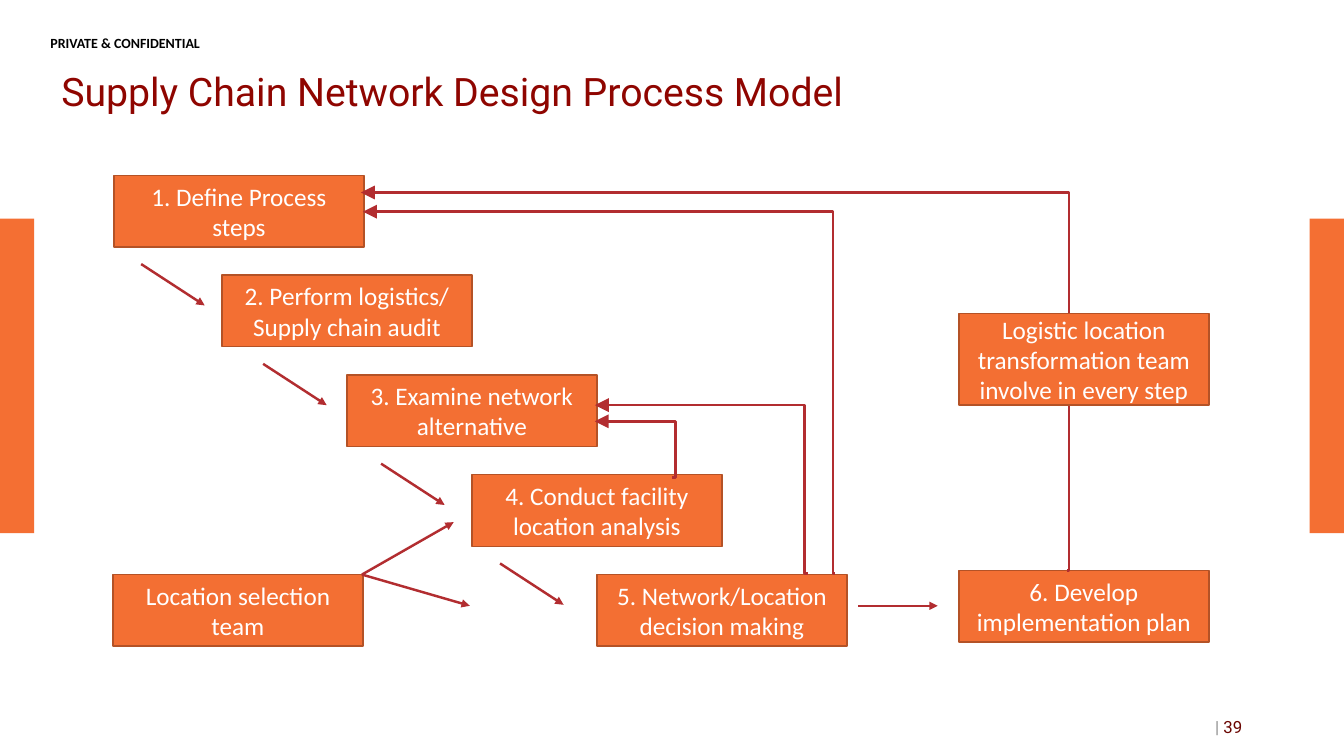
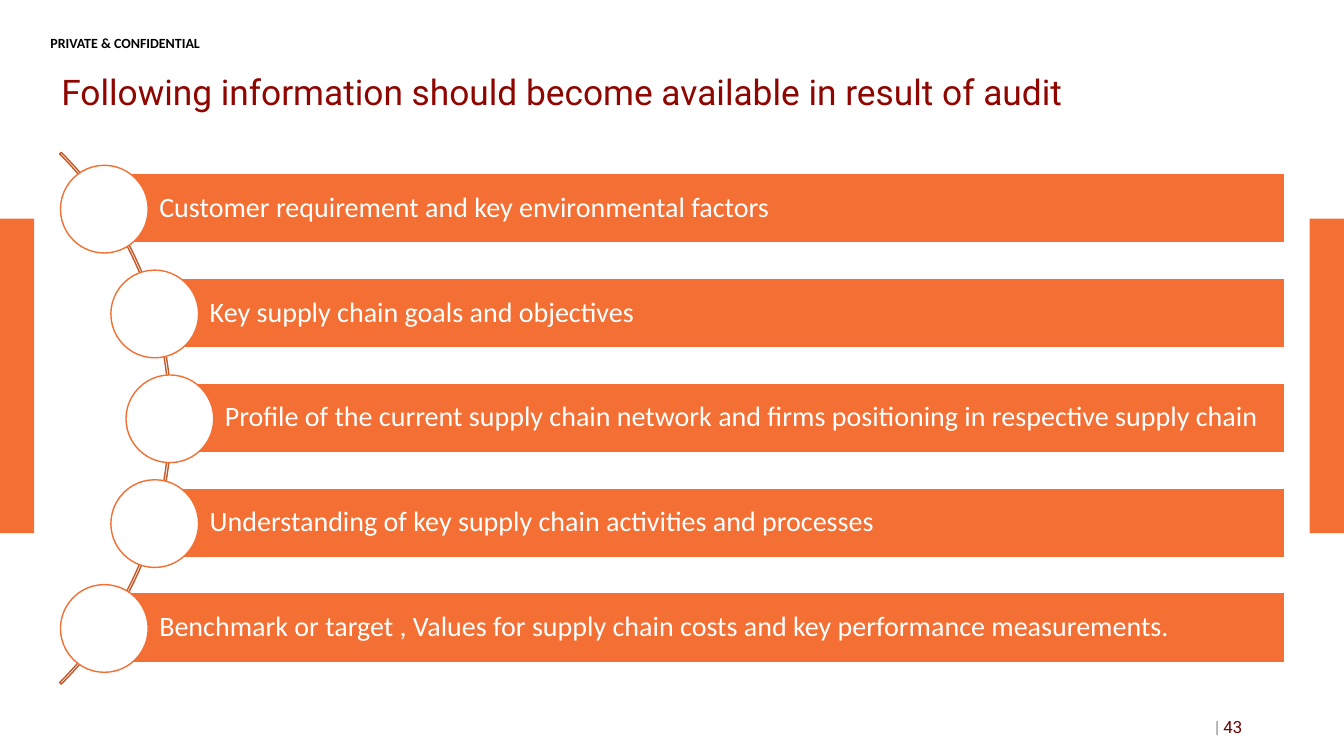
import lxml.etree
import pptx
import pptx.dml.color
import pptx.enum.shapes
import pptx.enum.text
import pptx.oxml.ns
import pptx.util

Inches = pptx.util.Inches
Pt = pptx.util.Pt
qn = pptx.oxml.ns.qn
SHAPE = pptx.enum.shapes.MSO_SHAPE
CONNECTOR = pptx.enum.shapes.MSO_CONNECTOR
ALIGN = pptx.enum.text.PP_ALIGN
ANCHOR = pptx.enum.text.MSO_ANCHOR

COLORS = {
    "band": "F46F33",
    "box": "F36F33",
    "box_edge": "B45226",
    "arc": "C35929",
    "arrow": "B22D30",
    "title": "8F0500",
    "number": "6A0500",
    "divider": "8C8C8C",
    "white": "FFFFFF",
    "black": "000000",
}
BODY_FONT = "Calibri"
HEAD_FONT = "Roboto"
INSETS = (0.1, 0.05, 0.1, 0.05)


def rgb(name):
    return pptx.dml.color.RGBColor.from_string(COLORS[name])


def write_text(box, text, size, color="white", font=BODY_FONT, bold=False, align=ALIGN.LEFT,
               anchor=ANCHOR.MIDDLE, insets=INSETS, line_spacing=None):
    """Fill a box with one paragraph; text is a string or a list of (string, color)."""
    frame = box.text_frame
    frame.word_wrap = True
    frame.vertical_anchor = anchor
    frame.margin_left, frame.margin_top, frame.margin_right, frame.margin_bottom = map(Inches, insets)
    para = frame.paragraphs[0]
    para.alignment = align
    if line_spacing:
        para.line_spacing = line_spacing
    for words, shade in [(text, color)] if isinstance(text, str) else text:
        span = para.add_run()
        span.text = words
        span.font.name = font
        span.font.size = Pt(size)
        span.font.bold = bold
        span.font.color.rgb = rgb(shade)


def add_label(page, left, top, width, height, text, size, **text_format):
    box = page.shapes.add_textbox(Inches(left), Inches(top), Inches(width), Inches(height))
    write_text(box, text, size, **text_format)


def add_figure(page, kind, left, top, width, height, fill=None, edge=None):
    figure = page.shapes.add_shape(kind, Inches(left), Inches(top), Inches(width), Inches(height))
    figure.shadow.inherit = False
    if fill:
        figure.fill.solid()
        figure.fill.fore_color.rgb = rgb(fill)
    else:
        figure.fill.background()
    if edge:
        figure.line.color.rgb = rgb(edge)
        figure.line.width = Pt(1)
    else:
        figure.line.fill.background()
    return figure


def add_process_box(page, left, top, text, height=0.71):
    box = add_figure(page, SHAPE.RECTANGLE, left, top, 2.48, height, "box", "box_edge")
    write_text(box, text, 18, align=ALIGN.CENTER)


def add_line(page, kind, start, end, arrow_end, arrow_size):
    """Add a connector with an arrowhead at "headEnd" (start) or "tailEnd" (end)."""
    line = page.shapes.add_connector(kind, *map(Inches, start + end))
    line.line.color.rgb = rgb("arrow")
    line.line.width = Pt(1.75)
    properties = line.element.spPr
    lxml.etree.SubElement(properties.find(qn("a:ln")), qn("a:" + arrow_end),
                          type="triangle", w=arrow_size, len=arrow_size)
    lxml.etree.SubElement(properties, qn("a:effectLst"))
    return line


def add_arrow(page, start, end):
    add_line(page, CONNECTOR.STRAIGHT, start, end, "tailEnd", "med")


def add_feedback(page, start, end, bend):
    """Add an elbow line that turns at x = bend and points back at its start."""
    line = add_line(page, CONNECTOR.ELBOW, start, end, "headEnd", "lg")
    geometry = line.element.spPr.find(qn("a:prstGeom"))
    guides = geometry.find(qn("a:avLst"))
    if guides is None:
        guides = lxml.etree.SubElement(geometry, qn("a:avLst"))
    share = round(100000 * (bend - start[0]) / (end[0] - start[0]))
    lxml.etree.SubElement(guides, qn("a:gd"), name="adj1", fmla=f"val {share}")


def add_page(deck, title, number, title_size):
    page = deck.slides.add_slide(deck.slide_layouts[6])
    # Side bands
    for left in (0, 12.99):
        add_figure(page, SHAPE.RECTANGLE, left, 2.17, 0.34, 3.12, "band")
    # Header, title and page number
    add_label(page, 0.5, 0.34, 2.53, 0.12, "PRIVATE & CONFIDENTIAL", 10, color="black", bold=True,
              anchor=ANCHOR.TOP, insets=(0, 0, 0, 0))
    add_label(page, 0.51, 0.58, 10.86, 0.71, title, title_size, color="title", font=HEAD_FONT,
              line_spacing=0.9)
    add_label(page, 9.42, 7.01, 3, 0.4, [("| ", "divider"), (str(number), "number")], 12,
              font=HEAD_FONT, align=ALIGN.RIGHT)
    return page


def build_process_page(deck):
    page = add_page(deck, "Supply Chain Network Design Process Model", 39, 28)
    step_gap = 0.99

    # Staircase of steps
    steps = [
        (1.13, "1. Define Process steps"),
        (2.2, "2. Perform logistics/ Supply chain audit"),
        (3.44, "3. Examine network alternative"),
        (4.68, "4. Conduct facility location analysis"),
        (5.92, "5. Network/Location decision making"),
    ]
    for index, (left, text) in enumerate(steps):
        add_process_box(page, left, 1.74 + index * step_gap, text)
    add_process_box(page, 9.51, 5.66, "6. Develop implementation plan")

    # Feedback lines
    for start, end, bend in [
        ((5.9, 4.02), (8.01, 5.69), 7.98),
        ((5.9, 4.18), (6.67, 4.74), 6.7),
        ((3.6, 2.1), (8.28, 5.69), 8.26),
        ((3.58, 1.91), (10.58, 5.66), 10.6),
    ]:
        add_feedback(page, start, end, bend)

    # Teams
    add_process_box(page, 9.51, 3.11, "Logistic location transformation team involve in every step",
                    height=0.91)
    add_process_box(page, 1.12, 5.7, "Location selection team")

    # Arrows between steps, then from the selection team
    for index, left in enumerate((1.4, 2.61, 3.78, 4.96)):
        top = 2.62 + index * step_gap
        add_arrow(page, (left, top), (left + 0.63, top + 0.41))
    add_arrow(page, (8.51, 6.01), (9.3, 6.01))
    for end in ((4.5, 5.18), (4.66, 6.01)):
        add_arrow(page, (3.59, 5.7), end)


def build_audit_page(deck):
    page = add_page(deck, "Following information should become available in result of audit", 43, 25.2)

    # Arc behind the list
    arc = add_figure(page, SHAPE.BLOCK_ARC, -5.76, 0.42, 7.46, 7.46, edge="arc")
    for index, value in enumerate((189, 27, 0.003)):
        arc.adjustments[index] = value

    # Bars with circles
    right_edge = 12.74
    findings = [
        (1.03, "Customer requirement and key environmental factors"),
        (1.53, "Key supply chain goals and objectives"),
        (1.68, "Profile of the current supply chain network and firms positioning in respective supply chain"),
        (1.53, "Understanding of key supply chain activities and processes"),
        (1.03, "Benchmark or target , Values for supply chain costs and key performance measurements."),
    ]
    for index, (left, text) in enumerate(findings):
        top = 1.72 + index * 1.04
        bar = add_figure(page, SHAPE.RECTANGLE, left, top, right_edge - left, 0.69, "box", "white")
        write_text(bar, text, 20, insets=(0.55, 0.06, 0.06, 0.06), line_spacing=0.9)
        add_figure(page, SHAPE.OVAL, left - 0.43, top - 0.08, 0.87, 0.87, "white", "box")


def main():
    deck = pptx.Presentation()
    deck.slide_width = Inches(13.33)
    deck.slide_height = Inches(7.5)
    build_process_page(deck)
    build_audit_page(deck)
    deck.save("out.pptx")


if __name__ == "__main__":
    main()
